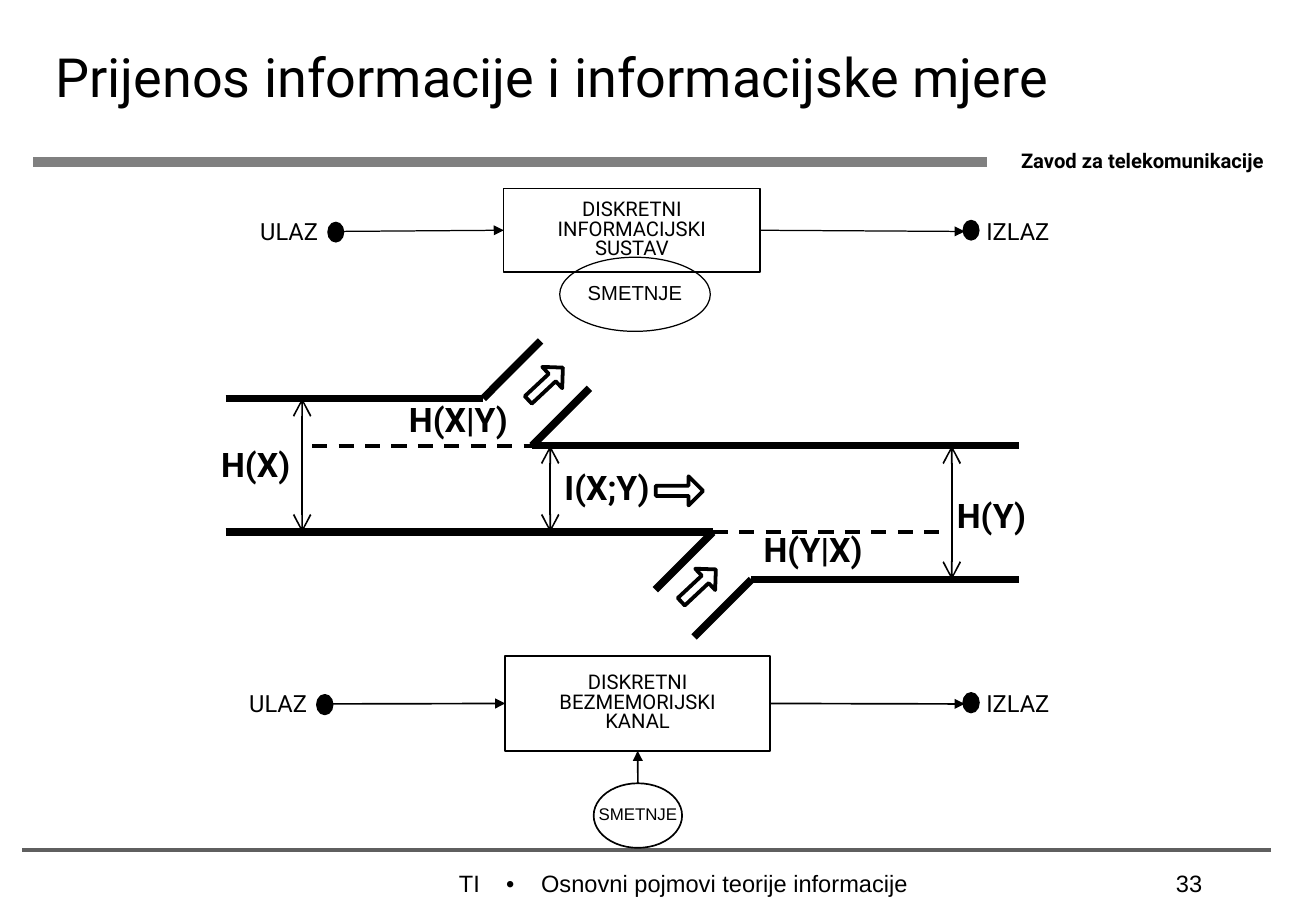
from pptx import Presentation
from pptx.dml.color import RGBColor
from pptx.enum.dml import MSO_LINE
from pptx.enum.shapes import MSO_CONNECTOR, MSO_SHAPE
from pptx.enum.text import MSO_ANCHOR, MSO_AUTO_SIZE, PP_ALIGN
from pptx.oxml.ns import qn
from pptx.util import Cm, Pt
from lxml.etree import SubElement

BLACK = "000000"


def rgb(code):
    return RGBColor.from_string(code)


def write(shape, text, size, font="Roboto", bold=False,
          align=PP_ALIGN.CENTER, space=None, wrap=False, tabs=()):
    frame = shape.text_frame
    frame.word_wrap = wrap
    frame.text = text
    for para in frame.paragraphs:
        para.alignment = align
        para.line_spacing = space
        if tabs:
            stops = SubElement(para._p.get_or_add_pPr(), qn("a:tabLst"))
            for stop in tabs:
                SubElement(stops, qn("a:tab"), pos=str(Cm(stop)), algn="l")
        para.font.name = font
        para.font.size = Pt(size)
        para.font.bold = bold
        para.font.color.rgb = rgb(BLACK)


def box(slide, text, x, y, w, h, size, **style):
    shape = slide.shapes.add_textbox(Cm(x), Cm(y), Cm(w), Cm(h))
    write(shape, text, size, **style)
    return shape


def label(slide, text, x, y, w, h, size, bold=False):
    shape = box(slide, text, x, y, w, h, size, bold=bold, space=0.8)
    shape.text_frame.auto_size = MSO_AUTO_SIZE.SHAPE_TO_FIT_TEXT


def figure(slide, kind, x, y, w, h, width, fill=None):
    shape = slide.shapes.add_shape(kind, Cm(x), Cm(y), Cm(w), Cm(h))
    shape.shadow.inherit = False
    if fill:
        shape.fill.solid()
        shape.fill.fore_color.rgb = rgb(fill)
    else:
        shape.fill.background()
    shape.line.color.rgb = rgb(BLACK)
    shape.line.width = Pt(width)
    return shape


def line(slide, x1, y1, x2, y2, width, color=BLACK, dash=None,
         head=None, tail=None, scale="med"):
    link = slide.shapes.add_connector(
        MSO_CONNECTOR.STRAIGHT, Cm(x1), Cm(y1), Cm(x2), Cm(y2))
    link.line.color.rgb = rgb(color)
    link.line.width = Pt(width)
    if dash:
        link.line.dash_style = dash
    props = link._element.spPr
    for tag, kind in (("a:headEnd", head), ("a:tailEnd", tail)):
        if kind:
            SubElement(props.find(qn("a:ln")), qn(tag),
                       type=kind, w=scale, len=scale)
    SubElement(props, qn("a:effectLst"))
    return link


def block(slide, text, place, noise, size, left, top, width):
    """Input, block with noise, and output in one row."""
    rect = figure(slide, MSO_SHAPE.RECTANGLE, *place, width)
    write(rect, text, 12, space=0.8)
    oval = figure(slide, MSO_SHAPE.OVAL, *noise, width)
    write(oval, "SMETNJE", size, font="Arial", space=0.8)
    for shape in (rect, oval):
        shape.text_frame.vertical_anchor = MSO_ANCHOR.MIDDLE

    x, y, w, h = place
    mid = y + h / 2
    entry = line(slide, left + 1.83, top + 0.32, x, mid, width,
                 tail="triangle")
    entry.end_connect(rect, 1)
    leave = line(slide, x + w, mid, 20.18, top + 0.32, width,
                 tail="triangle")
    leave.begin_connect(rect, 3)

    label(slide, "ULAZ", left, top, 1.78, 0.74, 14)
    label(slide, "IZLAZ", 20.37, top, 1.85, 0.74, 14)
    for dot, drop in ((left + 1.7, 0.13), (20.15, 0.09)):
        figure(slide, MSO_SHAPE.OVAL, dot, top + drop, 0.33, 0.41,
               width, BLACK)
    return rect, oval


def flow(slide):
    """Entropy flow between input and output."""
    y1, y2, y3, y4 = 8.33, 9.32, 11.13, 12.12
    start, end = 4.72, 21.31
    bend1, bend2, bend3, bend4 = 10.11, 11.13, 14.91, 15.72
    slant = 1.2

    # Channel walls
    for x1, x2, y in ((start, bend1, y1), (start, bend3, y3),
                      (bend2, end, y2), (bend4, end, y4)):
        line(slide, x1, y, x2, y, 4.5)
    for x, y, way in ((bend1, y1, 1), (bend2, y2, 1),
                      (bend3, y3, -1), (bend4, y4, -1)):
        line(slide, x, y, x + way * slant, y - way * slant, 4.5)
    for x1, x2, y in ((6.53, bend2, y2), (bend3, 19.71, y3)):
        line(slide, x1, y, x2, y, 2.25, dash=MSO_LINE.DASH)

    # Measures
    for x, top, base in ((6.32, y1, y3), (19.91, y2, y4), (11.51, y2, y3)):
        line(slide, x, top, x, base, 1, head="arrow", tail="arrow",
             scale="lg")
    for text, x, y, w in (("H(X)", 4.37, 9.32, 1.96),
                          ("H(Y)", 19.76, 10.39, 1.96),
                          ("I(X;Y)", 11.53, 9.8, 2.34),
                          ("H(X|Y)", 8.28, 8.38, 2.62),
                          ("H(Y|X)", 15.7, 11.1, 2.62)):
        label(slide, text, x, y, w, 0.94, 20, bold=True)

    # Flow arrows
    for x, y, turn in ((13.72, 9.96, 0), (10.92, 7.72, 316.9),
                       (14.12, 11.94, 316.9)):
        arrow = figure(slide, MSO_SHAPE.RIGHT_ARROW, x, y, 0.99, 0.61, 2.25)
        arrow.adjustments[0] = 0.35
        arrow.adjustments[1] = 0.5
        arrow.rotation = turn


def frame(slide):
    """Title, rules and footer."""
    line(slide, 20.65, 3.38, 0.69, 3.38, 6, "808080")
    box(slide, "Zavod za telekomunikacije", 21.11, 2.97, 6.43, 0.76, 12,
        bold=True, align=PP_ALIGN.LEFT, wrap=True)
    line(slide, 26.59, 17.78, 0.46, 17.78, 2.25, "5F5F5F")
    title = box(slide, "Prijenos informacije i informacijske mjere",
                0.91, 0, 23.39, 3.18, 32, align=PP_ALIGN.LEFT, wrap=True)
    title.text_frame.vertical_anchor = MSO_ANCHOR.MIDDLE

    foot = box(slide, "TI\t•\tOsnovni pojmovi teorije informacije",
               6.35, 17.98, 15.88, 0.64, 14, font="Arial",
               align=PP_ALIGN.LEFT, wrap=True, tabs=(0.99, 1.72))
    foot.text_frame.margin_left = Cm(3.25)
    page = box(slide, "33", 23.09, 17.98, 2.31, 0.64, 14, font="Arial",
               align=PP_ALIGN.RIGHT, wrap=True)
    for shape in (foot, page):
        shape.text_frame.margin_top = Cm(0.2)


def main():
    deck = Presentation()
    deck.slide_width = Cm(27.53)
    deck.slide_height = Cm(19.05)
    slide = deck.slides.add_slide(deck.slide_layouts[6])

    frame(slide)
    block(slide, "DISKRETNI\nINFORMACIJSKI\nSUSTAV",
          (10.54, 3.94, 5.36, 1.75), (11.71, 5.38, 3.15, 1.55), 12,
          5.16, 4.52, 0.75)
    flow(slide)
    rect, oval = block(slide, "DISKRETNI\nBEZMEMORIJSKI\nKANAL",
                       (10.57, 13.72, 5.54, 1.98),
                       (12.42, 16.38, 1.85, 1.35), 10, 4.93, 14.4, 1)
    # Noise into the channel
    link = line(slide, 13.34, 16.38, 13.34, 15.7, 1, tail="triangle")
    link.begin_connect(oval, 0)
    link.end_connect(rect, 2)

    deck.save("out.pptx")


if __name__ == "__main__":
    main()
